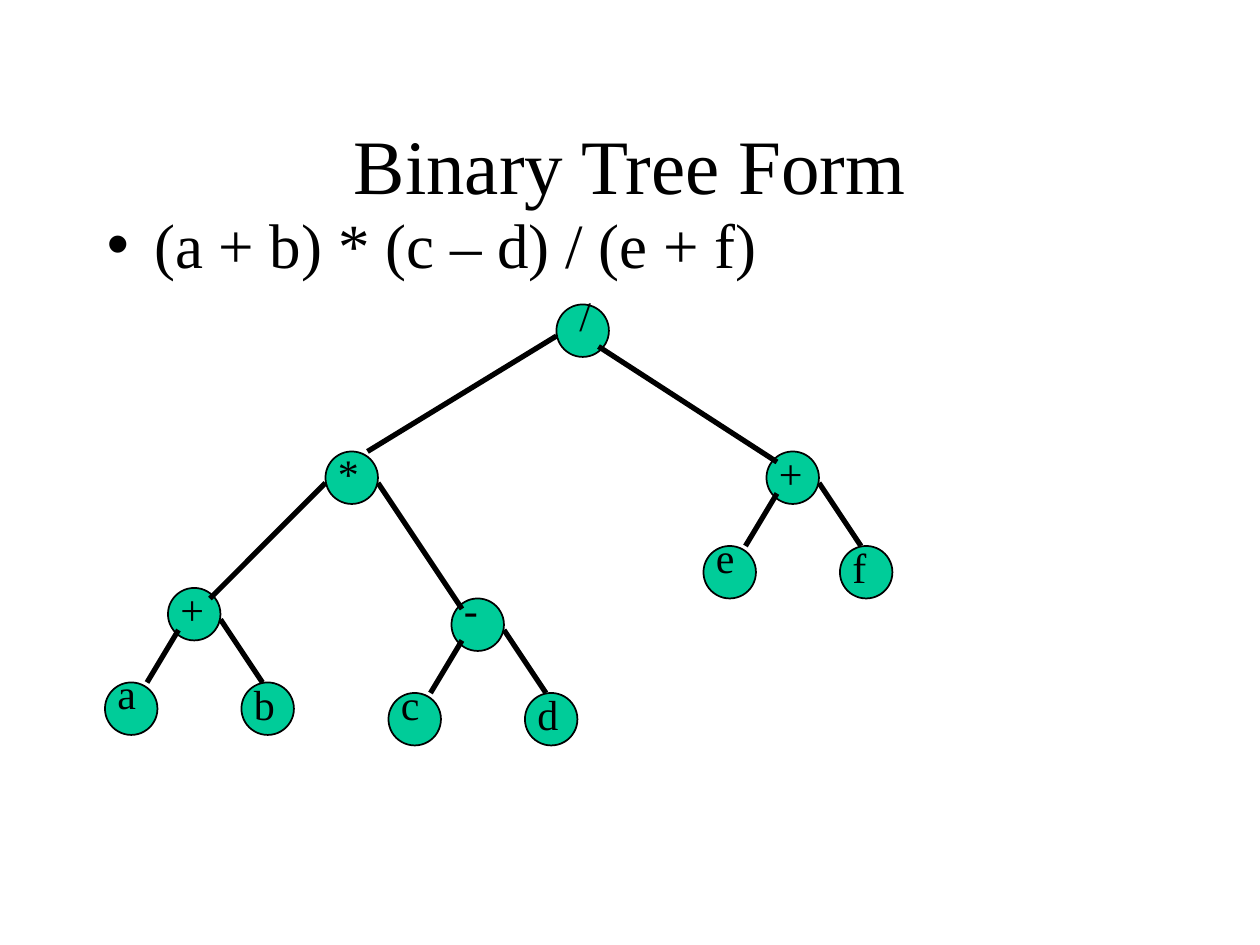
import dataclasses
import pptx
import pptx.util
import pptx.dml.color
import pptx.enum.shapes
import pptx.enum.text
import pptx.oxml.ns

Cm, Pt = pptx.util.Cm, pptx.util.Pt
RGB = pptx.dml.color.RGBColor


@dataclasses.dataclass(frozen=True)
class Theme:
    font: str = "Times New Roman"
    ink: RGB = RGB(0, 0, 0)
    node: RGB = RGB(0, 0xCC, 0x99)
    title: int = 44
    body: int = 36
    label: int = 24
    rim: int = 1
    edge: int = 3


THEME = Theme()
SIZE = 5  # node diameter in grid steps


def grid(n):
    """Length of n grid steps, twelve to the inch."""
    return Cm(n * 2.54 / 12)


def style(para, size):
    para.font.name = THEME.font
    para.font.size = Pt(size)
    para.font.color.rgb = THEME.ink


def fill(holder, text, size, box):
    """Place a title or body placeholder and write its text."""
    holder.left, holder.top, holder.width, holder.height = map(Cm, box)
    frame = holder.text_frame
    frame.text = text
    frame.auto_size = pptx.enum.text.MSO_AUTO_SIZE.NONE
    style(frame.paragraphs[0], size)


def node(shapes, text, x, y, lift=1, shift=0):
    """Circle at x, y with its label raised by lift and moved by shift."""
    oval = shapes.add_shape(pptx.enum.shapes.MSO_SHAPE.OVAL,
                            grid(x), grid(y), grid(SIZE), grid(SIZE))
    oval.shadow.inherit = False
    oval.fill.solid()
    oval.fill.fore_color.rgb = THEME.node
    oval.line.color.rgb = THEME.ink
    oval.line.width = Pt(THEME.rim)
    label = shapes.add_textbox(grid(x + shift), grid(y - lift),
                               grid(SIZE), grid(7.5))
    frame = label.text_frame
    frame.word_wrap = True
    frame.text = text
    style(frame.paragraphs[0], THEME.label)


def edge(shapes, x1, y1, x2, y2):
    line = shapes.add_connector(pptx.enum.shapes.MSO_CONNECTOR.STRAIGHT,
                                grid(x1), grid(y1), grid(x2), grid(y2))
    line.line.color.rgb = THEME.ink
    line.line.width = Pt(THEME.edge)
    props = line._element.spPr
    props.append(props.makeelement(pptx.oxml.ns.qn("a:effectLst"), {}))


def branch(shapes, sign, left, right, x, y, lift=1):
    """Operator node with two leaves below it."""
    node(shapes, sign, x, y, lift)
    node(shapes, left, x - 6, y + 9, 2)
    node(shapes, right, x + 7, y + 9)
    edge(shapes, x + 1, y + 4, x - 2, y + 9)
    edge(shapes, x + 5, y + 3, x + 9, y + 9)


def main():
    deck = pptx.Presentation()
    deck.slide_width, deck.slide_height = Cm(25.4), Cm(19.05)
    slide = deck.slides.add_slide(deck.slide_layouts[1])
    shapes = slide.shapes

    # Title and expression
    fill(shapes.title, "Binary Tree Form", THEME.title,
         (1.9, 1.7, 21.6, 3.18))
    fill(slide.placeholders[1], "(a + b) * (c \u2013 d) / (e + f)", THEME.body,
         (1.9, 4.02, 17.15, 1.9))

    # Lowest operators with their leaves
    branch(shapes, "+", "a", "b", 16, 56)
    branch(shapes, "-", "c", "d", 43, 57, lift=2)
    branch(shapes, "+", "e", "f", 73, 43)

    # Upper operators
    node(shapes, "*", 31, 43)
    node(shapes, "/", 53, 29, lift=2, shift=1)

    # Upper edges
    for ends in ((31, 46, 20, 57), (36, 46, 44, 58),
                 (53, 32, 35, 43), (57, 33, 74, 44)):
        edge(shapes, *ends)

    deck.save("out.pptx")


main()
